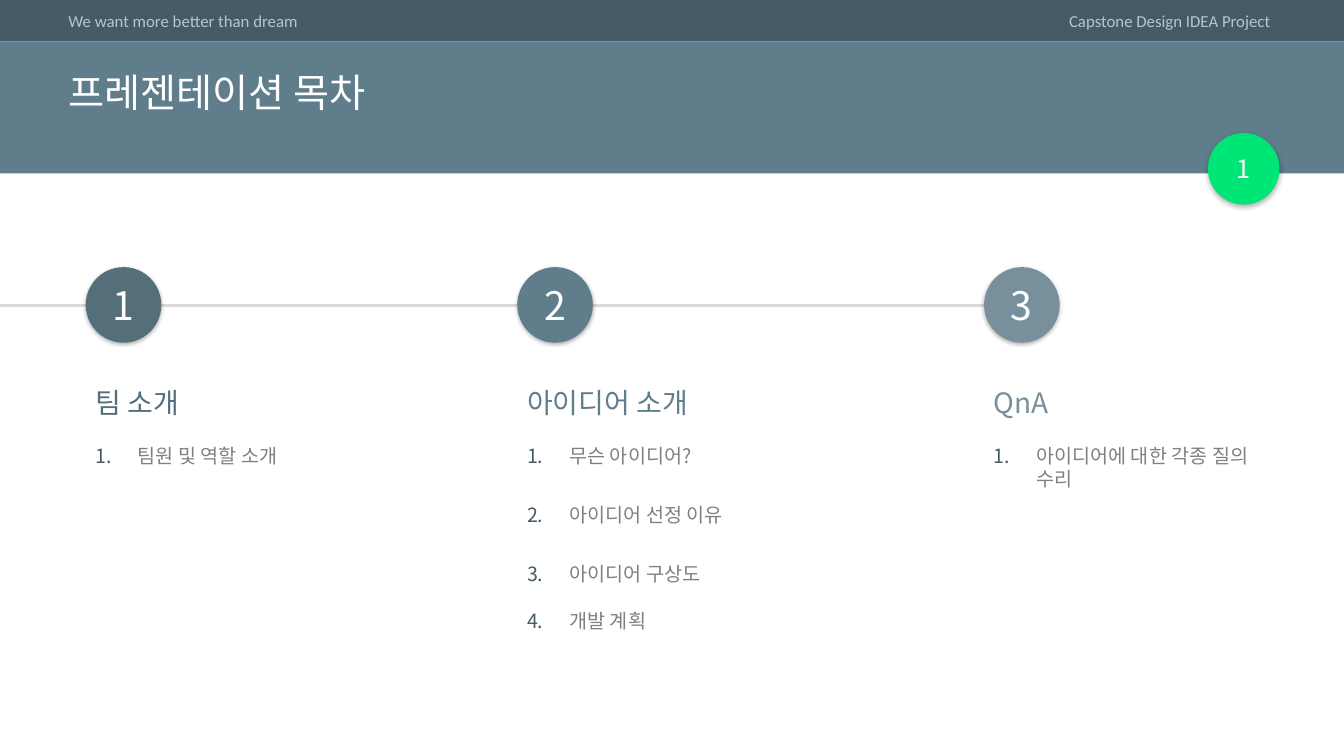
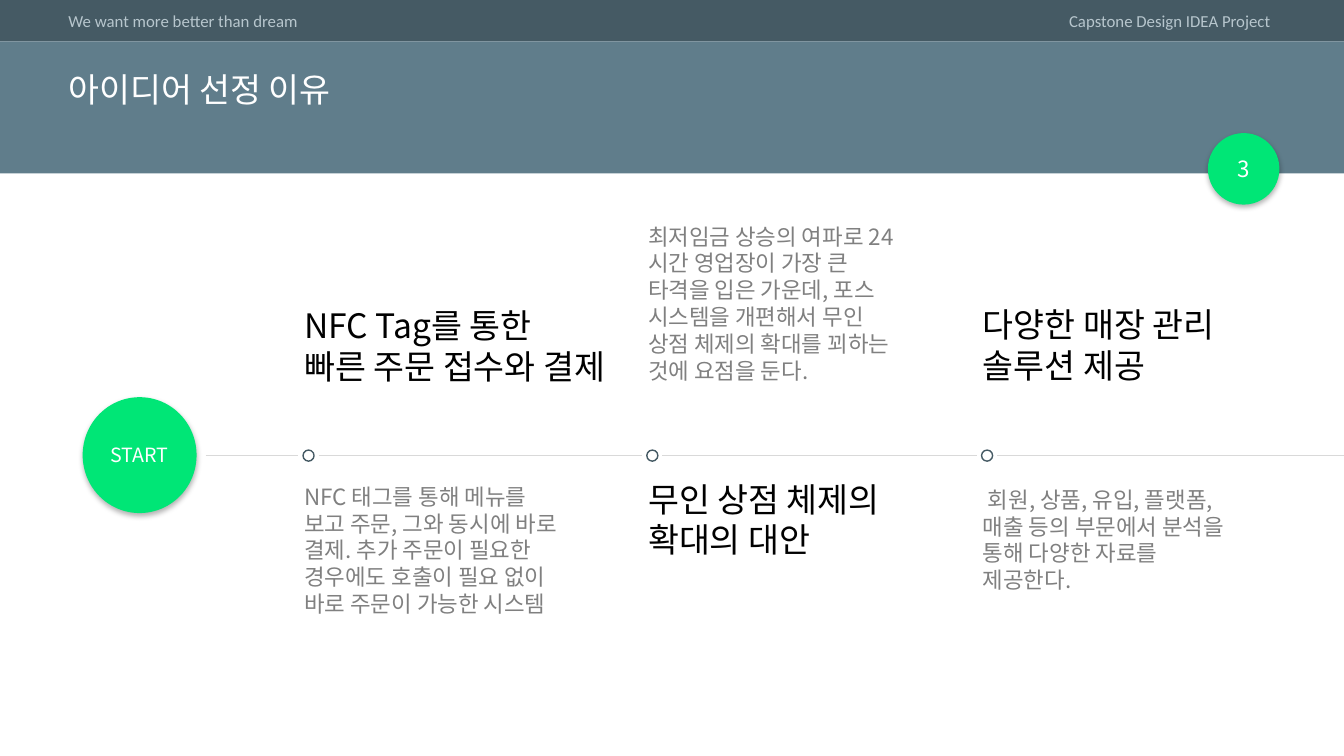
from dataclasses import dataclass, field
from typing import Optional

from lxml import etree
from pptx import Presentation, util as u
from pptx.dml import color
from pptx.enum import shapes, text
from pptx.oxml import ns


@dataclass(frozen=True)
class Theme:
    slate: str = "455A64"
    band: str = "607D8B"
    deep: str = "546E7A"
    soft: str = "78909C"
    accent: str = "00E676"
    caption: str = "B7C6CD"
    rule: str = "D9D9D9"
    body: str = "808080"
    black: str = "000000"
    white: str = "FFFFFF"
    caption_font: str = "Calibri"
    font: str = "Noto Sans CJK KR"
    caption_size: int = 12
    item_size: int = 14
    body_size: int = 16
    section_size: int = 20
    headline_size: int = 24
    number_size: int = 28


THEME = Theme()


@dataclass(frozen=True)
class Box:
    left: float
    top: float
    width: float
    height: float


@dataclass(frozen=True)
class Style:
    size: int
    color: str
    font: str = THEME.font
    align: text.PP_ALIGN = text.PP_ALIGN.LEFT
    line_spacing: Optional[float] = None


@dataclass(frozen=True)
class Shadow:
    blur: float
    distance: float


@dataclass(frozen=True)
class Item:
    label: str
    gap: float = 0


@dataclass(frozen=True)
class Section:
    left: float
    color: str
    heading: str
    items: list[Item] = field(default_factory=list)


@dataclass(frozen=True)
class Reason:
    left: float
    headline: list[str]
    headline_top: float
    headline_width: float
    body: str
    body_top: float
    body_height: float


RAISED = Shadow(4, 2)
LOW = Shadow(3, 1)

SECTIONS = [
    Section(0.85, THEME.deep, "팀 소개", [Item("팀원 및 역할 소개")]),
    Section(5.13, THEME.band, "아이디어 소개", [
        Item("무슨 아이디어?"),
        Item("아이디어 선정 이유", 25.5),
        Item("아이디어 구상도", 25.5),
        Item("개발 계획", 17),
    ]),
    Section(9.76, THEME.soft, "QnA", [Item("아이디어에 대한 각종 질의 수리")]),
]

REASONS = [
    Reason(2.92, ["NFC Tag를 통한", "빠른 주문 접수와 결제"], 2.98, 4.62,
           "NFC 태그를 통해 메뉴를 보고 주문, 그와 동시에 바로 결제. "
           "추가 주문이 필요한 경우에도 호출이 필요 없이 바로 주문이 가능한 시스템",
           4.74, 1.72),
    Reason(6.33, ["무인 상점 체제의", "확대의 대안"], 4.7, 4.62,
           "최저임금 상승의 여파로 24시간 영업장이 가장 큰 타격을 입은 가운데, "
           "포스 시스템을 개편해서 무인 상점 체제의 확대를 꾀하는 것에 요점을 둔다.",
           2.16, 1.72),
    Reason(9.65, ["다양한 매장 관리", "솔루션 제공"], 2.97, 2.83,
           " 회원, 상품, 유입, 플랫폼, 매출 등의 부문에서 분석을 통해 "
           "다양한 자료를 제공한다.",
           4.77, 1.18),
]

PAGE_WIDTH = 13.33
PAGE_HEIGHT = 7.5


def rgb(value: str) -> color.RGBColor:
    return color.RGBColor.from_string(value)


def place(box: Box) -> tuple:
    return tuple(u.Inches(n) for n in (box.left, box.top, box.width, box.height))


def write(para, content: str, style: Style) -> None:
    para.alignment = style.align
    if style.line_spacing:
        para.line_spacing = style.line_spacing
    span = para.add_run()
    span.text = content
    span.font.name = style.font
    span.font.size = u.Pt(style.size)
    span.font.color.rgb = rgb(style.color)
    east_asian = etree.SubElement(span._r.get_or_add_rPr(), ns.qn("a:ea"))
    east_asian.set("typeface", style.font)


def add_text(page, box: Box, lines: list[str], style: Style):
    frame = page.shapes.add_textbox(*place(box)).text_frame
    frame.word_wrap = True
    for index, line in enumerate(lines):
        para = frame.add_paragraph() if index else frame.paragraphs[0]
        write(para, line, style)
    return frame


def add_shape(page, kind: shapes.MSO_SHAPE, box: Box, fill: str,
              shadow: Optional[Shadow] = None):
    shape = page.shapes.add_shape(kind, *place(box))
    shape.fill.solid()
    shape.fill.fore_color.rgb = rgb(fill)
    shape.line.fill.background()
    shape.shadow.inherit = False
    if shadow:
        effects = shape.element.spPr.find(ns.qn("a:effectLst"))
        outer = etree.SubElement(
            effects, ns.qn("a:outerShdw"), blurRad=str(u.Pt(shadow.blur)),
            dist=str(u.Pt(shadow.distance)), dir="5400000",
            algn="t", rotWithShape="0")
        tint = etree.SubElement(outer, ns.qn("a:srgbClr"), val=THEME.black)
        etree.SubElement(tint, ns.qn("a:alpha"), val="30000")
    return shape


def add_badge(page, box: Box, fill: str, shadow: Shadow, label: str,
              size: int) -> None:
    frame = add_shape(page, shapes.MSO_SHAPE.OVAL, box, fill, shadow).text_frame
    frame.margin_left = frame.margin_right = u.Inches(0)
    frame.margin_top = frame.margin_bottom = u.Inches(0)
    frame.vertical_anchor = text.MSO_ANCHOR.MIDDLE
    write(frame.paragraphs[0], label,
          Style(size, THEME.white, align=text.PP_ALIGN.CENTER))


def add_rule(page, start: float, end: float, top: float, weight: float) -> None:
    rule = page.shapes.add_connector(
        shapes.MSO_CONNECTOR.STRAIGHT, u.Inches(start), u.Inches(top),
        u.Inches(end), u.Inches(top))
    rule.line.color.rgb = rgb(THEME.rule)
    rule.line.width = u.Pt(weight)
    etree.SubElement(rule.element.spPr, ns.qn("a:effectLst"))


def number_items(frame, items: list[Item]) -> None:
    for para, item in zip(frame.paragraphs, items):
        para.space_before = u.Pt(item.gap)
        properties = para._p.get_or_add_pPr()
        properties.set("marL", str(u.Inches(0.42)))
        properties.set("indent", str(-u.Inches(0.42)))
        bullet_color = etree.SubElement(properties, ns.qn("a:buClr"))
        etree.SubElement(bullet_color, ns.qn("a:srgbClr"), val=THEME.slate)
        etree.SubElement(properties, ns.qn("a:buFont"), typeface=THEME.font)
        etree.SubElement(properties, ns.qn("a:buAutoNum"), type="arabicPeriod")


def add_page(deck, title: str, title_size: int, number: str, number_size: int):
    page = deck.slides.add_slide(deck.slide_layouts[6])
    rectangle = shapes.MSO_SHAPE.RECTANGLE
    add_shape(page, rectangle, Box(0, 0, PAGE_WIDTH, 0.41), THEME.slate)
    add_shape(page, rectangle, Box(0, 0.41, PAGE_WIDTH, 1.31), THEME.band)
    for left, caption, align in (
            (0.58, "We want more better than dream", text.PP_ALIGN.LEFT),
            (7.14, "Capstone Design IDEA Project", text.PP_ALIGN.RIGHT)):
        add_text(page, Box(left, 0.06, 5.56, 0.3), [caption],
                 Style(THEME.caption_size, THEME.caption,
                       THEME.caption_font, align))
    add_text(page, Box(0.58, 0.68, 12.28, 0.47), [title],
             Style(title_size, THEME.white, line_spacing=0.9))
    add_badge(page, Box(11.98, 1.32, 0.71, 0.71), THEME.accent, RAISED,
              number, number_size)
    return page


def build_contents(deck) -> None:
    page = add_page(deck, "프레젠테이션 목차", 28, "1", 18)
    add_rule(page, 0, SECTIONS[-1].left, 3.03, 2)
    for number, section in enumerate(SECTIONS, 1):
        add_badge(page, Box(section.left, 2.65, 0.75, 0.75), section.color,
                  LOW, str(number), THEME.number_size)
        add_text(page, Box(section.left, 3.78, 2.97, 0.44), [section.heading],
                 Style(THEME.section_size, section.color))
        frame = add_text(page, Box(section.left, 4.35, 2.97, 0.57),
                         [item.label for item in section.items],
                         Style(THEME.item_size, THEME.body))
        number_items(frame, section.items)


def build_reasons(deck) -> None:
    page = add_page(deck, "아이디어 선정 이유", 24, "3", 16)
    axis, marker_size, clearance = 4.52, 0.11, 0.1
    add_badge(page, Box(0.82, 3.94, 1.13, 1.15), THEME.accent, RAISED,
              "START", THEME.item_size)
    rule_start = 2.04
    for reason in REASONS:
        center = reason.left + 0.14
        add_rule(page, rule_start, center - clearance, axis, 0.75)
        rule_start = center + clearance
        marker = add_shape(
            page, shapes.MSO_SHAPE.OVAL,
            Box(center - marker_size / 2, axis - marker_size / 2,
                marker_size, marker_size), THEME.white)
        marker.line.color.rgb = rgb(THEME.slate)
        marker.line.width = u.Pt(1)
        add_text(page, Box(reason.left, reason.headline_top,
                           reason.headline_width, 0.91),
                 reason.headline, Style(THEME.headline_size, THEME.black))
        add_text(page, Box(reason.left, reason.body_top, 2.71,
                           reason.body_height),
                 [reason.body], Style(THEME.body_size, THEME.body))
    add_rule(page, rule_start, PAGE_WIDTH, axis, 0.75)


def main() -> None:
    deck = Presentation()
    deck.slide_width = u.Inches(PAGE_WIDTH)
    deck.slide_height = u.Inches(PAGE_HEIGHT)
    build_contents(deck)
    build_reasons(deck)
    deck.save("out.pptx")


if __name__ == "__main__":
    main()
